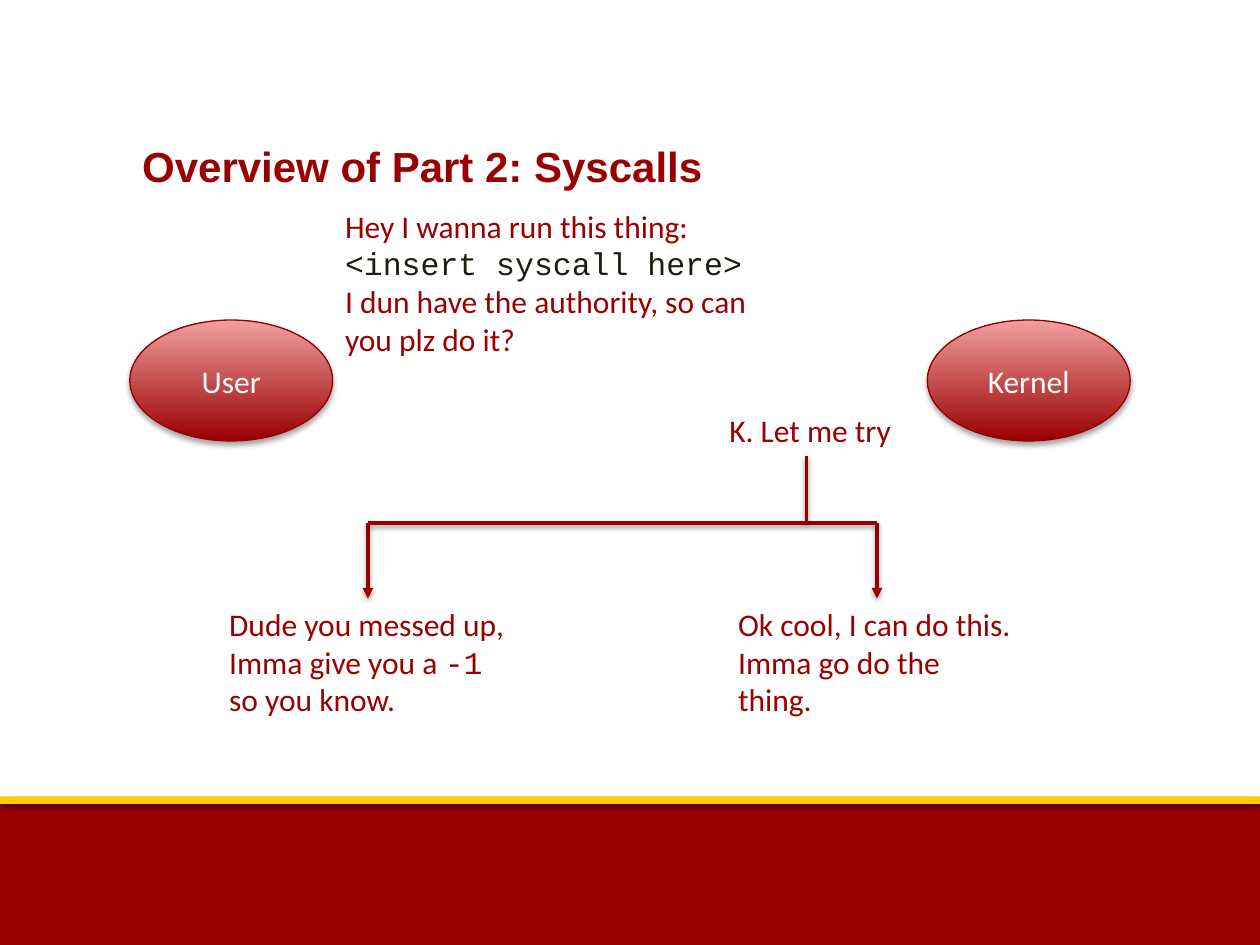
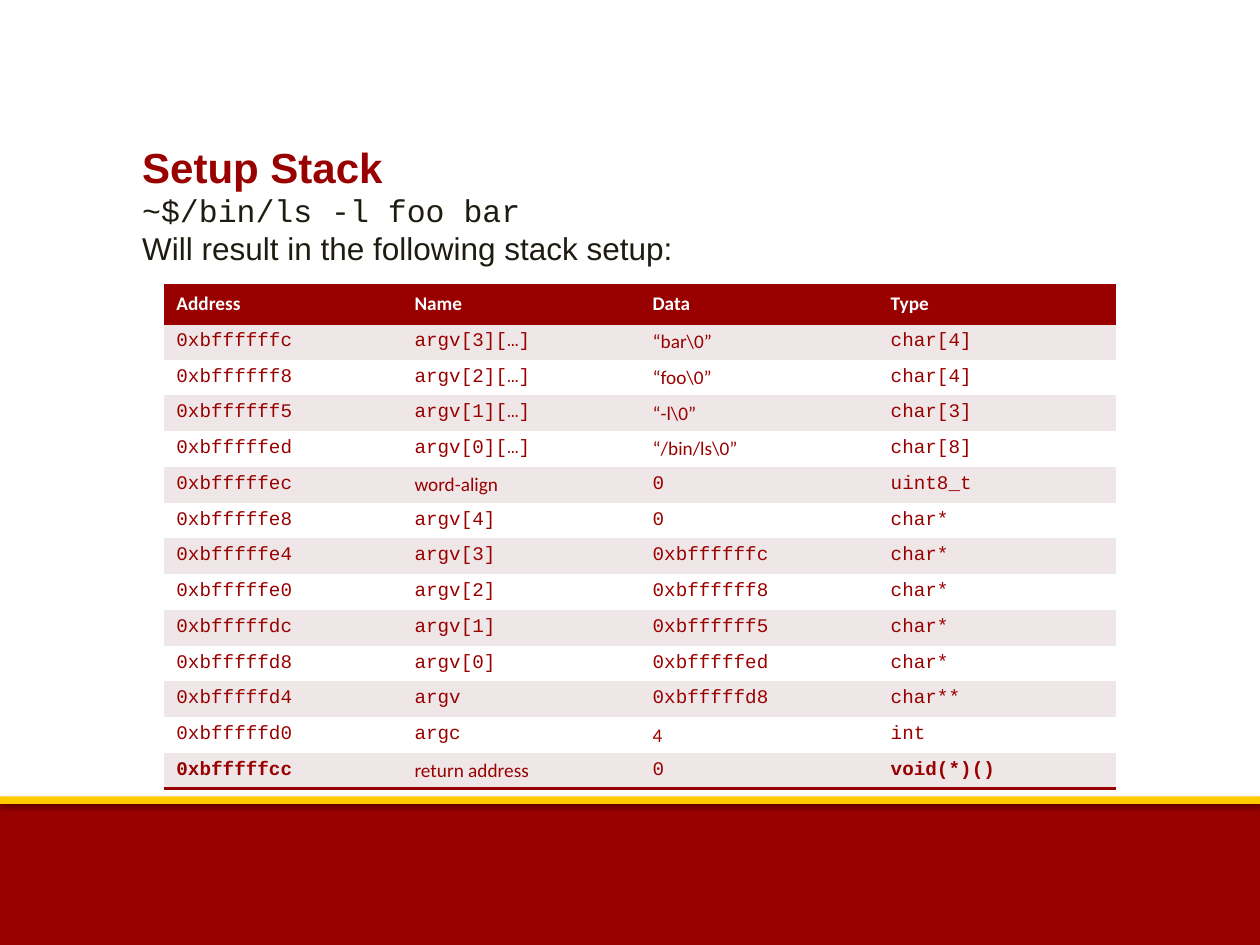
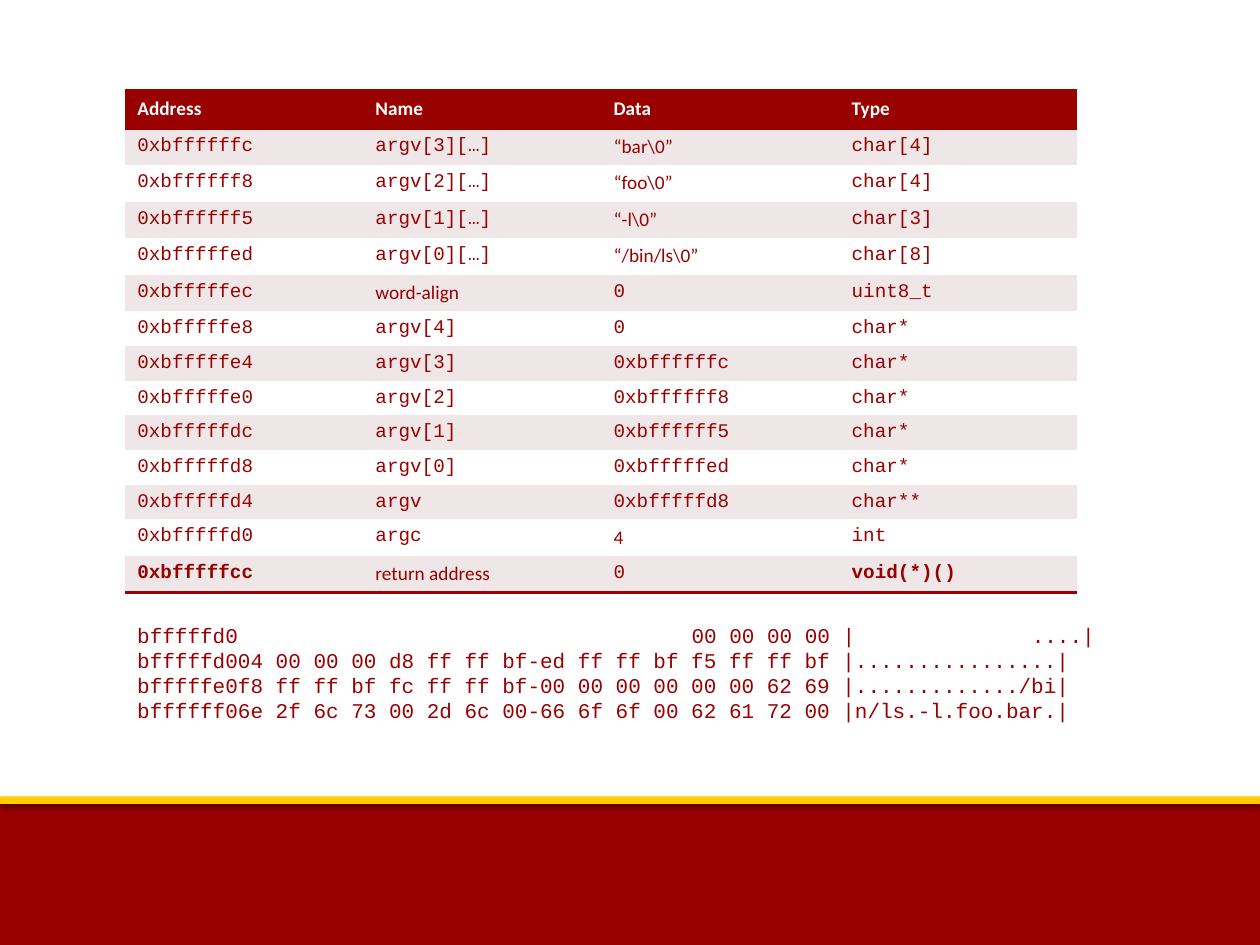
import dataclasses

import lxml.etree
import pptx
import pptx.dml.color
import pptx.enum.shapes
import pptx.enum.text
import pptx.oxml.ns
import pptx.util

Inches = pptx.util.Inches
Pt = pptx.util.Pt
qn = pptx.oxml.ns.qn
MSO_SHAPE = pptx.enum.shapes.MSO_SHAPE
PP_ALIGN = pptx.enum.text.PP_ALIGN
ANCHOR = pptx.enum.text.MSO_ANCHOR


@dataclasses.dataclass(frozen=True)
class Theme:
    red: str = "990000"
    outline: str = "960000"
    pink: str = "F19F9F"
    gold: str = "FFCC00"
    ink: str = "1E1C11"
    white: str = "FFFFFF"
    stripe: str = "EFE7E7"
    body_font: str = "Calibri"
    title_font: str = "Arial"
    code_font: str = "Courier New"
    title_size: int = 24
    body_size: int = 18
    dump_size: int = 12
    table_size: int = 11


THEME = Theme()
CODE = {"font": THEME.code_font}
COMMAND = {"font": THEME.code_font, "color": THEME.ink}
TITLE = {"font": THEME.title_font, "size": THEME.title_size, "bold": True}
PLAIN_TABLE_STYLE = "{2D5ABB26-0587-4C30-8999-92F81FD0307C}"

STACK_HEADINGS = ("Address", "Name", "Data", "Type")
STACK_ROWS = [
    ("0xbffffffc", "argv[3][…]", "“bar\\0”", "char[4]"),
    ("0xbffffff8", "argv[2][…]", "“foo\\0”", "char[4]"),
    ("0xbffffff5", "argv[1][…]", "“-l\\0”", "char[3]"),
    ("0xbfffffed", "argv[0][…]", "“/bin/ls\\0”", "char[8]"),
    ("0xbfffffec", "word-align", "0", "uint8_t"),
    ("0xbfffffe8", "argv[4]", "0", "char*"),
    ("0xbfffffe4", "argv[3]", "0xbffffffc", "char*"),
    ("0xbfffffe0", "argv[2]", "0xbffffff8", "char*"),
    ("0xbfffffdc", "argv[1]", "0xbffffff5", "char*"),
    ("0xbfffffd8", "argv[0]", "0xbfffffed", "char*"),
    ("0xbfffffd4", "argv", "0xbfffffd8", "char**"),
    ("0xbfffffd0", "argc", "4", "int"),
    ("0xbfffffcc", "return address", "0", "void(*)()"),
]
BODY_FONT_CELLS = {"word-align", "return address", "4"}
BOLD_CELLS = {"0xbfffffcc", "void(*)()"}

MEMORY_DUMP = [
    ("bfffffd0", "00 00 00 00", "\t....|"),
    ("bfffffd0", "04 00 00 00 d8 ff ff bf-ed ff ff bf f5 ff ff bf", "................|"),
    ("bfffffe0", "f8 ff ff bf fc ff ff bf-00 00 00 00 00 00 62 69", "............./bi|"),
    ("bffffff0", "6e 2f 6c 73 00 2d 6c 00-66 6f 6f 00 62 61 72 00", "n/ls.-l.foo.bar.|"),
]
DUMP_TABS = (5.7, 7.6)


def rgb(color):
    return pptx.dml.color.RGBColor.from_string(color)


def inches(*lengths):
    return [Inches(length) for length in lengths]


def write(frame, paragraphs, align=PP_ALIGN.LEFT, **base):
    """Fill a frame; a paragraph is a list of strings or (string, format) pairs."""
    frame.word_wrap = True
    for index, pieces in enumerate(paragraphs):
        paragraph = frame.paragraphs[0] if index == 0 else frame.add_paragraph()
        paragraph.alignment = align
        for piece in pieces:
            words, changes = (piece, {}) if isinstance(piece, str) else piece
            style = {"font": THEME.body_font, "size": THEME.body_size,
                     "color": THEME.red, "bold": False, **base, **changes}
            run = paragraph.add_run()
            run.text = words
            run.font.name = style["font"]
            run.font.size = Pt(style["size"])
            run.font.bold = style["bold"]
            run.font.color.rgb = rgb(style["color"])


def add_text(slide, box, paragraphs, **style):
    frame = slide.shapes.add_textbox(*inches(*box)).text_frame
    write(frame, paragraphs, **style)
    return frame


def cast_shadow(item, opacity=35, distance=1.8):
    effects = lxml.etree.SubElement(item._element.spPr, qn("a:effectLst"))
    shadow = lxml.etree.SubElement(
        effects, qn("a:outerShdw"), blurRad=str(Pt(3.1)), dist=str(Pt(distance)),
        dir="5400000", rotWithShape="0")
    tone = lxml.etree.SubElement(shadow, qn("a:srgbClr"), val="000000")
    lxml.etree.SubElement(tone, qn("a:alpha"), val=str(opacity * 1000))


def add_band(slide, top, height, color, **shadow):
    band = slide.shapes.add_shape(MSO_SHAPE.RECTANGLE, *inches(0, top, 10, height))
    band.fill.solid()
    band.fill.fore_color.rgb = rgb(color)
    band.line.fill.background()
    cast_shadow(band, **shadow)


def new_slide(deck):
    """Add a blank slide with the red and gold footer bands."""
    slide = deck.slides.add_slide(deck.slide_layouts[6])
    add_band(slide, 6.35, 1.15, THEME.red)
    add_band(slide, 6.32, 0.06, THEME.gold, opacity=38, distance=1.6)
    return slide


def add_actor(slide, left, label):
    actor = slide.shapes.add_shape(MSO_SHAPE.OVAL, *inches(left, 2.54, 1.61, 0.96))
    actor.fill.gradient()
    actor.fill.gradient_angle = 90
    for stop, color, position in zip(
            actor.fill.gradient_stops, (THEME.red, THEME.pink), (0, 1)):
        stop.color.rgb = rgb(color)
        stop.position = position
    actor.line.color.rgb = rgb(THEME.outline)
    actor.line.width = Pt(0.75)
    cast_shadow(actor)
    actor.text_frame.vertical_anchor = ANCHOR.MIDDLE
    write(actor.text_frame, [[label]], align=PP_ALIGN.CENTER, color=THEME.white)


def add_branch(slide, start, end, arrow=False):
    branch = slide.shapes.add_connector(
        pptx.enum.shapes.MSO_CONNECTOR.STRAIGHT, *inches(*start, *end))
    branch.line.color.rgb = rgb(THEME.red)
    branch.line.width = Pt(2)
    if arrow:
        lxml.etree.SubElement(branch.line._get_or_add_ln(), qn("a:tailEnd"), type="triangle")
    cast_shadow(branch, opacity=38, distance=1.6)


def rule_cell(cell, *edges):
    """Draw red rules on the given edges (lnT, lnB) of a cell."""
    properties = cell._tc.get_or_add_tcPr()
    for place, edge in enumerate(edges):
        rule = lxml.etree.Element(qn("a:" + edge), w=str(Pt(2)))
        fill = lxml.etree.SubElement(rule, qn("a:solidFill"))
        lxml.etree.SubElement(fill, qn("a:srgbClr"), val=THEME.red)
        properties.insert(place, rule)


def fill_cell(cell, words, background, **style):
    cell.fill.solid()
    cell.fill.fore_color.rgb = rgb(background)
    write(cell.text_frame, [[words]], size=THEME.table_size, **style)


def in_body_font(words):
    return words.startswith("“") or words in BODY_FONT_CELLS


def add_stack_table(slide, left, top, text_row, code_row):
    """Draw the stack; text_row and code_row are heights with and without body font."""
    frame = slide.shapes.add_table(
        len(STACK_ROWS) + 1, len(STACK_HEADINGS), *inches(left, top, 7.56, 3.97))
    frame._element.xpath(".//a:tableStyleId")[0].text = PLAIN_TABLE_STYLE
    table = frame.table
    table.rows[0].height = Inches(0.3)
    for column, heading in enumerate(STACK_HEADINGS):
        cell = table.cell(0, column)
        fill_cell(cell, heading, THEME.red, color=THEME.white, bold=True)
        rule_cell(cell, "lnT", "lnB")
    for number, entries in enumerate(STACK_ROWS, start=1):
        has_text = any(map(in_body_font, entries))
        table.rows[number].height = Inches(text_row if has_text else code_row)
        for column, entry in enumerate(entries):
            cell = table.cell(number, column)
            fill_cell(cell, entry, THEME.stripe if number % 2 else THEME.white,
                      font=THEME.body_font if in_body_font(entry) else THEME.code_font,
                      bold=entry in BOLD_CELLS)
            if number == len(STACK_ROWS):
                rule_cell(cell, "lnB")


def add_memory_dump(slide):
    """Write the dump with right tab stops closing its byte and character columns."""
    lines = [[f"{address}\t{octets} |{characters}"]
             for address, octets, characters in MEMORY_DUMP]
    frame = add_text(slide, (0.99, 4.89, 7.98, 0.91), lines,
                     font=THEME.code_font, size=THEME.dump_size)
    for paragraph in frame.paragraphs:
        tabs = lxml.etree.SubElement(paragraph._p.get_or_add_pPr(), qn("a:tabLst"))
        for stop in DUMP_TABS:
            lxml.etree.SubElement(tabs, qn("a:tab"), pos=str(Inches(stop)), algn="r")


def build_syscalls(deck):
    slide = new_slide(deck)
    add_actor(slide, 1.03, "User")
    add_actor(slide, 7.36, "Kernel")
    add_text(slide, (2.64, 1.59, 3.4, 1.31), [
        ["Hey I wanna run this thing:"],
        [("<insert syscall here>", COMMAND)],
        ["I dun have the authority, so can you plz do it?"]])
    add_text(slide, (5.63, 3.21, 1.54, 0.4), [["K. Let me try"]], align=PP_ALIGN.RIGHT)
    add_text(slide, (1.03, 1.07, 8.09, 0.5), [["Overview of Part 2: Syscalls"]], **TITLE)
    failure = [["Dude you messed up, Imma give you a ", ("-1", CODE), " so you know."]]
    success = [["Ok cool, I can do this."], ["Imma go do the thing."]]
    fork, outcome_top, failure_x, success_x = 4.15, 4.75, 2.92, 6.96
    for center, outcome in ((failure_x, failure), (success_x, success)):
        add_text(slide, (center - 1.2, outcome_top, 2.39, 1.01), outcome)
        add_branch(slide, (center, fork), (center, outcome_top), arrow=True)
    add_branch(slide, (failure_x, fork), (success_x, fork))
    add_branch(slide, (6.4, 3.62), (6.4, fork))


def build_stack_setup(deck):
    slide = new_slide(deck)
    add_text(slide, (1.03, 1.07, 8.09, 1.11), [
        [("Setup Stack", TITLE)],
        [("~$/bin/ls -l foo bar", COMMAND)],
        [("Will result in the following stack setup:",
          {"font": THEME.title_font, "color": THEME.ink})]])
    even_row = (3.97 - 0.3) / len(STACK_ROWS)
    add_stack_table(slide, 1.3, 2.27, even_row, even_row)


def build_stack_dump(deck):
    slide = new_slide(deck)
    add_stack_table(slide, 0.99, 0.72, text_row=0.29, code_row=0.27)
    add_memory_dump(slide)


def main():
    deck = pptx.Presentation()
    deck.slide_width, deck.slide_height = inches(10, 7.5)
    build_syscalls(deck)
    build_stack_setup(deck)
    build_stack_dump(deck)
    deck.save("out.pptx")


if __name__ == "__main__":
    main()
